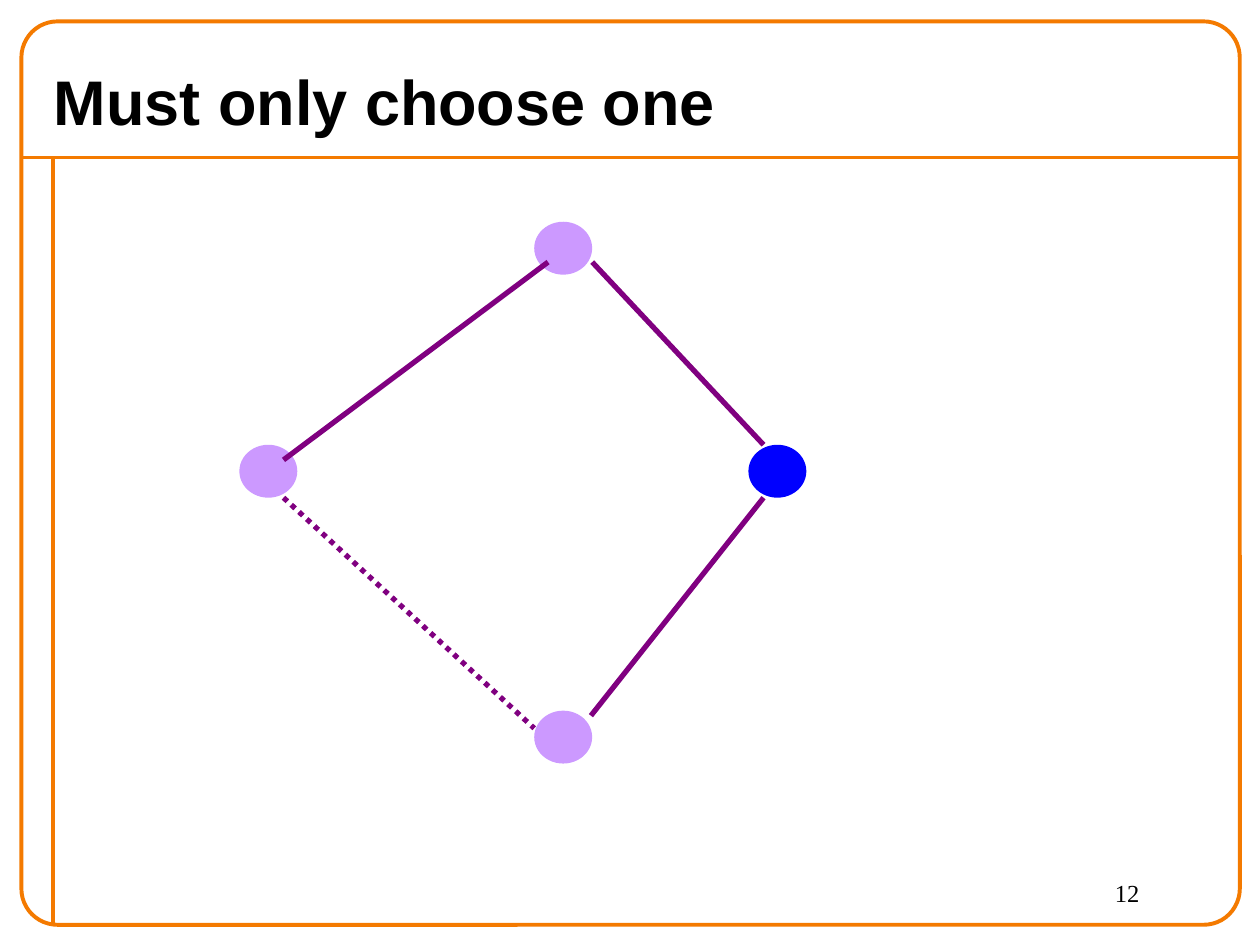
from lxml import etree
from pptx import Presentation
from pptx.dml.color import RGBColor
from pptx.enum.dml import MSO_LINE
from pptx.enum.shapes import MSO_CONNECTOR, MSO_SHAPE
from pptx.enum.text import MSO_ANCHOR
from pptx.oxml.ns import qn
from pptx.util import Inches, Pt

ORANGE = RGBColor(0xF4, 0x7A, 0x00)
LILAC = RGBColor(0xCC, 0x99, 0xFF)
BLUE = RGBColor(0x00, 0x00, 0xFF)
PURPLE = RGBColor(0x80, 0x00, 0x80)
BLACK = RGBColor(0x00, 0x00, 0x00)
STRAIGHT = MSO_CONNECTOR.STRAIGHT
OVAL, ROUND = MSO_SHAPE.OVAL, MSO_SHAPE.ROUNDED_RECTANGLE
DOTS = MSO_LINE.ROUND_DOT  # saved as sysDot
TOP, MIDDLE = MSO_ANCHOR.TOP, MSO_ANCHOR.MIDDLE

# Content: text, box, font, size, bold, anchor
TEXTS = [
    ("Must only choose one", (0.33, 0.42, 9.42, 0.75), "Arial", 36, True, MIDDLE),
    ("12", (8.75, 6.92, 1, 0.42), "Times New Roman", 14, False, TOP),
]
RULES = [(0.17, 1.25, 9.83, 1.25), (0.42, 1.25, 0.42, 7.33)]
FRAME = (0.17, 0.17, 9.67, 7.17)

# Graph: node corners and fills, edge ends and dashes
NODE = (0.46, 0.42)
NODES = [
    (1.9, 3.53, LILAC),
    (4.24, 1.76, LILAC),
    (4.24, 5.64, LILAC),
    (5.94, 3.53, BLUE),
]
EDGES = [
    (4.35, 2.08, 2.25, 3.65, None),
    (2.25, 3.95, 4.24, 5.78, DOTS),
    (4.7, 2.08, 6.06, 3.53, None),
    (6.06, 3.95, 4.69, 5.68, None),
]

deck = Presentation()
deck.slide_width, deck.slide_height = Inches(10), Inches(7.5)
slide = deck.slides.add_slide(deck.slide_layouts[6])
shapes = slide.shapes


def add_line(ends, color, width, dash=None):
    line = shapes.add_connector(STRAIGHT, *map(Inches, ends))
    line.line.color.rgb = color
    line.line.width = Pt(width)
    if dash:
        line.line.dash_style = dash
    etree.SubElement(line._element.spPr, qn("a:effectLst"))


def add_text(text, box, font, size, bold, anchor):
    frame = shapes.add_textbox(*map(Inches, box)).text_frame
    frame.word_wrap = True
    frame.vertical_anchor = anchor
    para = frame.paragraphs[0]
    para.text = text
    para.font.name = font
    para.font.size = Pt(size)
    para.font.bold = bold
    para.font.color.rgb = BLACK


# Border and rules
for ends in RULES:
    add_line(ends, ORANGE, 2.25)
border = shapes.add_shape(ROUND, *map(Inches, FRAME))
border.adjustments[0] = 0.04
border.shadow.inherit = False
border.fill.background()
border.line.color.rgb = ORANGE
border.line.width = Pt(2.25)

# Title and page number
for item in TEXTS:
    add_text(*item)

# Nodes, then edges on top
for left, top, fill in NODES:
    node = shapes.add_shape(OVAL, *map(Inches, (left, top, *NODE)))
    node.shadow.inherit = False
    node.fill.solid()
    node.fill.fore_color.rgb = fill
    node.line.fill.background()
for *ends, dash in EDGES:
    add_line(ends, PURPLE, 3, dash)

deck.save("out.pptx")
